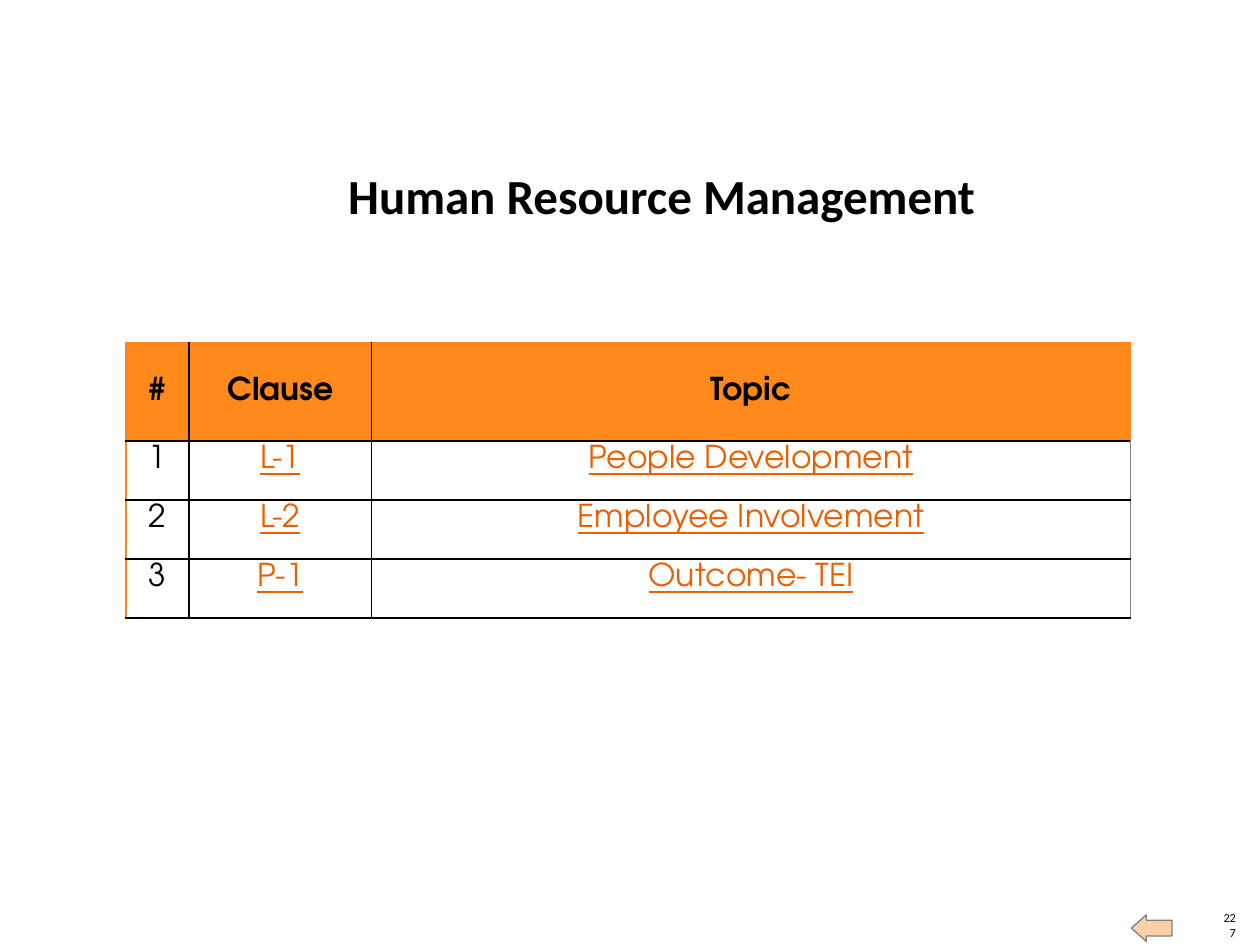
from dataclasses import dataclass

from lxml.etree import SubElement
from pptx import Presentation
from pptx.dml.color import RGBColor
from pptx.enum.shapes import MSO_SHAPE as Shape
from pptx.enum.text import MSO_ANCHOR as Anchor, MSO_AUTO_SIZE as AutoSize, PP_ALIGN as Align
from pptx.oxml.ns import qn
from pptx.util import Pt

BLACK, WHITE, ORANGE, LINK = "000000", "FFFFFF", "FF8A1B", "EA5F00"
BODY_FONT, TITLE_FONT = "TeX Gyre Adventor", "Calibri"


@dataclass(frozen=True)
class TextStyle:
    font: str
    size: float
    color: str = BLACK
    bold: bool = False
    underline: bool = False
    align: Align = Align.CENTER


@dataclass(frozen=True)
class Border:
    color: str
    width: float


@dataclass(frozen=True)
class Topic:
    number: str
    clause: str
    title: str


HEADING = TextStyle(BODY_FONT, 18, bold=True)
NUMBER = TextStyle(BODY_FONT, 18)
LINKED = TextStyle(BODY_FONT, 18, LINK, underline=True)
GRID, ORANGE_EDGE, GREY_EDGE = Border(BLACK, 1), Border("FF8615", 0.75), Border("808080", 0.5)
COLUMN_WIDTHS = (36, 104.4, 433.44)
HEADER_HEIGHT, ROW_HEIGHT = 56.4, 33.75
TOPICS = (
    Topic("1", "L-1", "People Development"),
    Topic("2", "L-2", "Employee Involvement"),
    Topic("3", "P-1", "Outcome- TEI"),
)


def rgb(color: str) -> RGBColor:
    return RGBColor.from_string(color)


def write(frame, text: str, style: TextStyle) -> None:
    paragraph = frame.paragraphs[0]
    paragraph.alignment = style.align
    run = paragraph.add_run()
    run.text = text
    font = run.font
    font.name, font.size = style.font, Pt(style.size)
    font.bold, font.underline = style.bold, style.underline
    font.color.rgb = rgb(style.color)


def fit_box(frame) -> None:
    frame.margin_left = frame.margin_right = frame.margin_top = frame.margin_bottom = 0
    frame.word_wrap = True
    frame.auto_size = AutoSize.NONE
    frame.vertical_anchor = Anchor.BOTTOM


def draw_border(cell, side: str, border: Border) -> None:
    line = SubElement(cell._tc.get_or_add_tcPr(), qn(f"a:ln{side}"), w=str(Pt(border.width)))
    fill = SubElement(line, qn("a:solidFill"))
    SubElement(fill, qn("a:srgbClr"), val=border.color)


def draw_cell(cell, text: str, style: TextStyle, column: int, is_header: bool) -> None:
    last = len(COLUMN_WIDTHS) - 1
    outer_right = ORANGE_EDGE if is_header else GREY_EDGE
    draw_border(cell, "L", ORANGE_EDGE if column == 0 else GRID)
    draw_border(cell, "R", outer_right if column == last else GRID)
    draw_border(cell, "T", ORANGE_EDGE if is_header else GRID)
    draw_border(cell, "B", GRID)
    cell.fill.solid()
    cell.fill.fore_color.rgb = rgb(ORANGE if is_header else WHITE)
    cell.margin_left = cell.margin_right = Pt(4.5 if is_header else 5)
    cell.margin_top = cell.margin_bottom = Pt(2.25 if is_header else 2.75)
    cell.vertical_anchor = Anchor.MIDDLE if is_header else Anchor.TOP
    write(cell.text_frame, text, style)


def draw_topics(slide) -> None:
    height = HEADER_HEIGHT + ROW_HEIGHT * len(TOPICS)
    table = slide.shapes.add_table(
        len(TOPICS) + 1, len(COLUMN_WIDTHS), Pt(72), Pt(195.5), Pt(sum(COLUMN_WIDTHS)), Pt(height)
    ).table
    table.horz_banding = table.first_row = False
    for column, width in zip(table.columns, COLUMN_WIDTHS):
        column.width = Pt(width)
    for index, row in enumerate(table.rows):
        row.height = Pt(ROW_HEIGHT if index else HEADER_HEIGHT)
    for column, label in enumerate(("#", "Clause", "Topic")):
        draw_cell(table.cell(0, column), label, HEADING, column, True)
    for row, topic in enumerate(TOPICS, 1):
        for column, text in enumerate((topic.number, topic.clause, topic.title)):
            draw_cell(table.cell(row, column), text, LINKED if column else NUMBER, column, False)


def draw_title(slide) -> None:
    title = slide.shapes.title
    title.left, title.top, title.width, title.height = Pt(156.25), Pt(94.5), Pt(443.5), Pt(33.75)
    title.fill.solid()
    title.fill.fore_color.rgb = rgb(WHITE)
    fit_box(title.text_frame)
    write(title.text_frame, "Human Resource Management", TextStyle(TITLE_FONT, 28, bold=True))


def draw_footer(slide) -> None:
    page_number = slide.shapes.add_textbox(Pt(697.75), Pt(528.5), Pt(8.5), Pt(8.5)).text_frame
    fit_box(page_number)
    write(page_number, "227", TextStyle(TITLE_FONT, 7, align=Align.RIGHT))
    back_arrow = slide.shapes.add_shape(Shape.RIGHT_ARROW, Pt(646.5), Pt(522.75), Pt(23.25), Pt(15.25))
    back_arrow.rotation = 180
    back_arrow.adjustments[0], back_arrow.adjustments[1] = 0.59, 0.56
    back_arrow.shadow.inherit = False
    back_arrow.fill.solid()
    back_arrow.fill.fore_color.rgb = rgb("FCD1AA")
    back_arrow.line.color.rgb = rgb("808080")
    back_arrow.line.width = Pt(0.75)


def main() -> None:
    presentation = Presentation()
    presentation.slide_width, presentation.slide_height = Pt(720), Pt(540)
    slide = presentation.slides.add_slide(presentation.slide_layouts[5])
    draw_footer(slide)
    draw_topics(slide)
    draw_title(slide)
    presentation.save("out.pptx")


if __name__ == "__main__":
    main()
